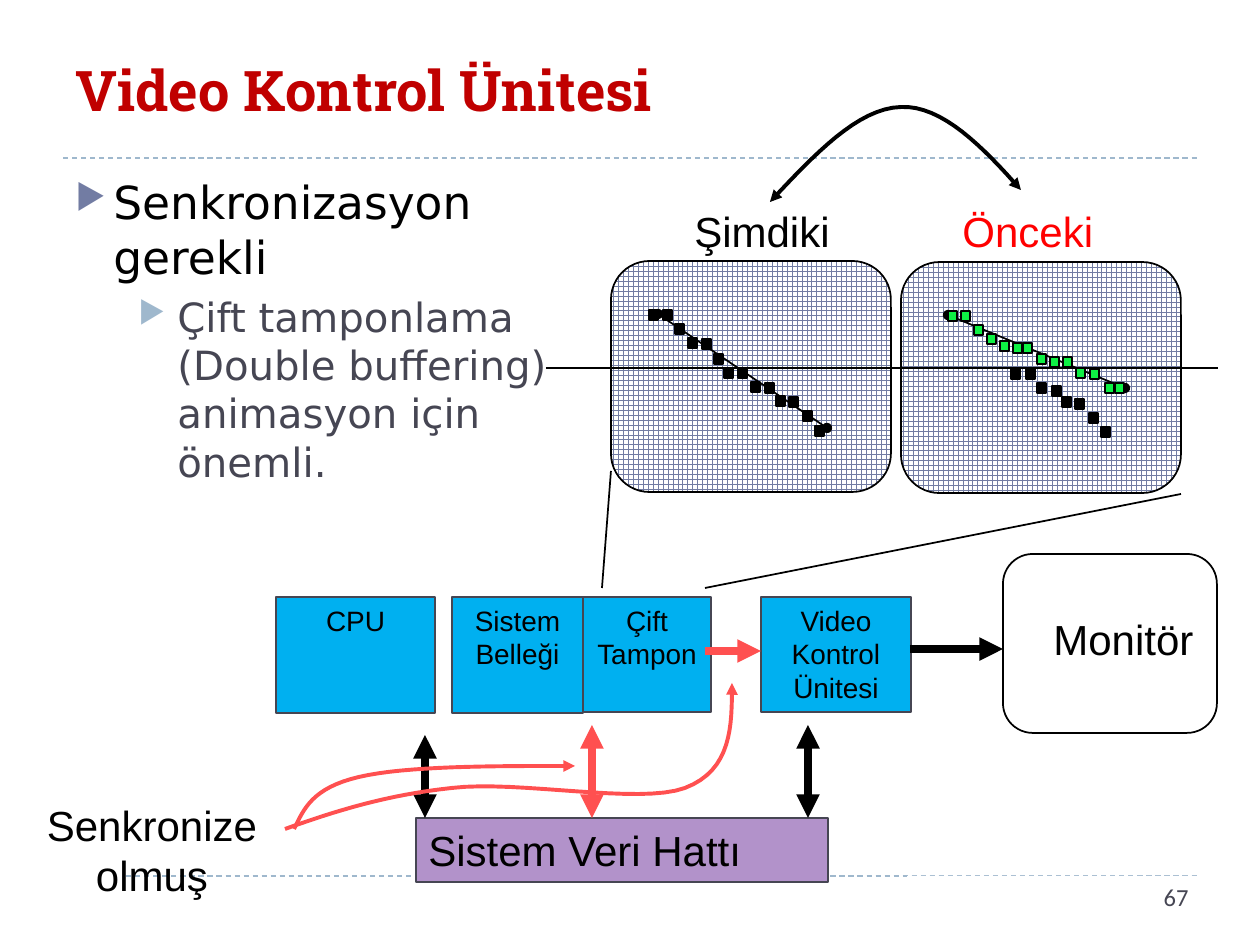
import pptx
import pptx.util
import pptx.dml.color
import pptx.enum.dml
import pptx.enum.shapes
import pptx.enum.text
import pptx.oxml
import pptx.oxml.ns

SCALE = 914400 / 126
SHAPES = pptx.enum.shapes.MSO_SHAPE
ALIGN = pptx.enum.text.PP_ALIGN
ANCHOR = pptx.enum.text.MSO_ANCHOR
BLACK, WHITE, RED, INK, BLUE = "000000", "FFFFFF", "FF5050", "464653", "00B0F0"

CURRENT_PIXELS = [(649, 310), (663, 310), (675, 324), (688, 338), (702, 339), (714, 354), (724, 368),
                  (738, 368), (751, 382), (765, 383), (776, 396), (789, 397), (803, 411), (815, 426)]
PREVIOUS_PIXELS = [(948, 311), (961, 311), (974, 325), (987, 334), (1000, 341), (1013, 343), (1023, 343),
                   (1037, 354), (1050, 357), (1063, 357), (1076, 368), (1090, 369), (1105, 383), (1115, 383)]
LATE_PIXELS = [(1011, 369), (1026, 369), (1037, 383), (1052, 386),
               (1062, 397), (1075, 399), (1089, 413), (1101, 427)]


def px(n):
    return pptx.util.Emu(round(n * SCALE))


def rgb(color):
    return pptx.dml.color.RGBColor.from_string(color)


def add_xml(parent, tag, **attrs):
    el = parent.makeelement(pptx.oxml.ns.qn(tag), attrs)
    parent.append(el)
    return el


def write(tf, text, size=24, color=BLACK, font="Arial", bold=False, align=ALIGN.LEFT):
    for line in text.split("\n"):
        p = tf.paragraphs[-1]
        if p.runs:
            p = tf.add_paragraph()
        p.text = line
        p.alignment = align
        for r in p.runs:
            r.font.size = pptx.util.Pt(size)
            r.font.name = font
            r.font.bold = bold
            r.font.color.rgb = rgb(color)
    return p


def add_bullet(p, color, left, indent):
    pPr = p._p.get_or_add_pPr()
    pPr.set("marL", str(px(left)))
    pPr.set("indent", str(px(-indent)))
    add_xml(add_xml(pPr, "a:buClr"), "a:srgbClr", val=color)
    add_xml(pPr, "a:buSzPct", val="76000")
    add_xml(pPr, "a:buChar", char="▶")


def style_line(line, color, width, head=None, tail=None):
    line.color.rgb = rgb(color)
    line.width = pptx.util.Pt(width)
    for tag, kind in (("a:headEnd", head), ("a:tailEnd", tail)):
        if kind:
            add_xml(line._get_or_add_ln(), tag, type=kind)


def add_text(s, x, y, w, h, text, wrap=False, **fmt):
    sp = s.shapes.add_textbox(px(x), px(y), px(w), px(h))
    sp.text_frame.word_wrap = wrap
    write(sp.text_frame, text, **fmt)
    return sp


def add_box(s, x, y, w, h, fill, line=BLACK, kind=SHAPES.RECTANGLE, text=None, **fmt):
    sp = s.shapes.add_shape(kind, px(x), px(y), px(w), px(h))
    sp.shadow.inherit = False
    sp.fill.solid()
    sp.fill.fore_color.rgb = rgb(fill)
    if line:
        style_line(sp.line, line, 1)
    else:
        sp.line.fill.background()
    if text:
        sp.text_frame.vertical_anchor = ANCHOR.TOP
        write(sp.text_frame, text, **fmt)
    return sp


def add_line(s, x1, y1, x2, y2, color=BLACK, width=1, head=None, tail=None, dash=False):
    c = s.shapes.add_connector(pptx.enum.shapes.MSO_CONNECTOR.STRAIGHT, px(x1), px(y1), px(x2), px(y2))
    if dash:
        c.line.dash_style = pptx.enum.dml.MSO_LINE.DASH
    style_line(c.line, color, width, head, tail)
    add_xml(c._element.spPr, "a:effectLst")


def add_curve(s, start, segments, color, head=None, tail="triangle", steps=16):
    points = []
    a = start
    for b, c, d in segments:
        for i in range(1, steps + 1):
            t = i / steps
            u = 1 - t
            points.append(tuple(px(u**3 * a[k] + 3 * u * u * t * b[k] + 3 * u * t * t * c[k] + t**3 * d[k])
                                for k in (0, 1)))
        a = d
    builder = s.shapes.build_freeform(px(start[0]), px(start[1]))
    builder.add_line_segments(points, close=False)
    sp = builder.convert_to_shape()
    sp.shadow.inherit = False
    sp.fill.background()
    style_line(sp.line, color, 2.25, head, tail)


def add_buffer(s, x, y):
    sp = add_box(s, x, y, 280, 231, WHITE, kind=SHAPES.ROUNDED_RECTANGLE)
    sp.fill.patterned()
    sp.fill.pattern = pptx.enum.dml.MSO_PATTERN.LARGE_GRID
    sp.fill.fore_color.rgb = rgb("727CA3")
    sp.fill.back_color.rgb = rgb(WHITE)


def add_pixels(s, places, color):
    for x, y in places:
        add_box(s, x, y, 9, 10, color)


def add_title(s, text):
    sp = s.shapes.title
    sp.left, sp.top, sp.width, sp.height = px(63), px(21), px(1134), px(136)
    sp.text_frame.vertical_anchor = ANCHOR.MIDDLE
    write(sp.text_frame, text, size=32, color="C00000", font="Roboto Slab", bold=True)


def add_body(s):
    sp = add_text(s, 63, 168, 1134, 680, "Senkronizasyon\vgerekli", wrap=True, size=26, font="DejaVu Sans")
    tf = sp.text_frame
    add_bullet(tf.paragraphs[0], "727CA3", 38, 38)
    p = write(tf, "Çift tamponlama\v(Double buffering)\vanimasyon için\vönemli.",
              size=23, color=INK, font="DejaVu Sans")
    p.level = 1
    p.space_before = pptx.util.Pt(5)
    add_bullet(p, "9FB8CD", 102, 39)


def add_system(s):
    add_box(s, 416, 818, 412, 64, "B292CA", INK, text="Sistem Veri Hattı")
    for x, w, h, text in ((276, 159, 116, "CPU"), (761, 150, 115, "Video Kontrol\nÜnitesi"),
                          (452, 131, 116, "Sistem Belleği"), (583, 128, 115, "Çift\nTampon")):
        add_box(s, x, 597, w, h, BLUE, INK, text=text, size=16, align=ALIGN.CENTER)
    for x, y, color in ((425, 735, BLACK), (592, 725, RED), (808, 725, BLACK)):
        add_line(s, x, y, x, 818, color, 4.5, "triangle", "triangle")
    add_box(s, 1003, 554, 214, 179, WHITE, kind=SHAPES.ROUNDED_RECTANGLE)
    add_text(s, 1041, 607, 168, 63, "Monitör")
    add_line(s, 910, 649, 1003, 649, BLACK, 4.5, tail="triangle")
    add_line(s, 705, 651, 761, 651, RED, 4.5, tail="triangle")
    add_text(s, 33, 793, 238, 115, "Senkronize\volmuş", align=ALIGN.CENTER)
    add_curve(s, (294, 829), [((304, 809), (312, 788), (359, 777)),
                              ((406, 766), (490, 766), (575, 766))], RED)
    add_curve(s, (285, 829), [((336, 811), (386, 795), (452, 788)),
                              ((519, 780), (639, 805), (685, 788)),
                              ((732, 770), (732, 726), (732, 683))], RED)


def add_buffers(s):
    add_buffer(s, 611, 261)
    add_line(s, 658, 314, 827, 428, head="oval", tail="oval")
    add_pixels(s, CURRENT_PIXELS, BLACK)
    add_line(s, 705, 588, 1181, 494)
    add_line(s, 602, 588, 611, 471)
    add_buffer(s, 901, 262)
    add_line(s, 948, 315, 1125, 388, head="oval", tail="oval")
    add_pixels(s, PREVIOUS_PIXELS, "0EF044")
    add_text(s, 950, 199, 158, 63, "Önceki", color="FF0000")
    add_text(s, 682, 199, 162, 63, "Şimdiki")
    add_curve(s, (770, 202), [((814, 155), (858, 108), (901, 107)),
                              ((942, 105), (983, 147), (1021, 190))], BLACK, head="triangle")
    add_line(s, 546, 368, 1218, 368)
    add_pixels(s, LATE_PIXELS, BLACK)


def main():
    prs = pptx.Presentation()
    prs.slide_width, prs.slide_height = px(1260), px(945)
    s = prs.slides.add_slide(prs.slide_layouts[5])
    for y in (876, 158):
        add_line(s, 63, y, 1197, y, "9FB8CD", 0.75, dash=True)
    add_box(s, 44, 859, 79, 79, WHITE, None)
    add_title(s, "Video Kontrol Ünitesi")
    add_body(s)
    add_system(s)
    add_buffers(s)
    add_box(s, 907, 876, 294, 50, WHITE, None, text="67", size=14, color=INK,
            font="Calibri", align=ALIGN.RIGHT)
    prs.save("out.pptx")


if __name__ == "__main__":
    main()
